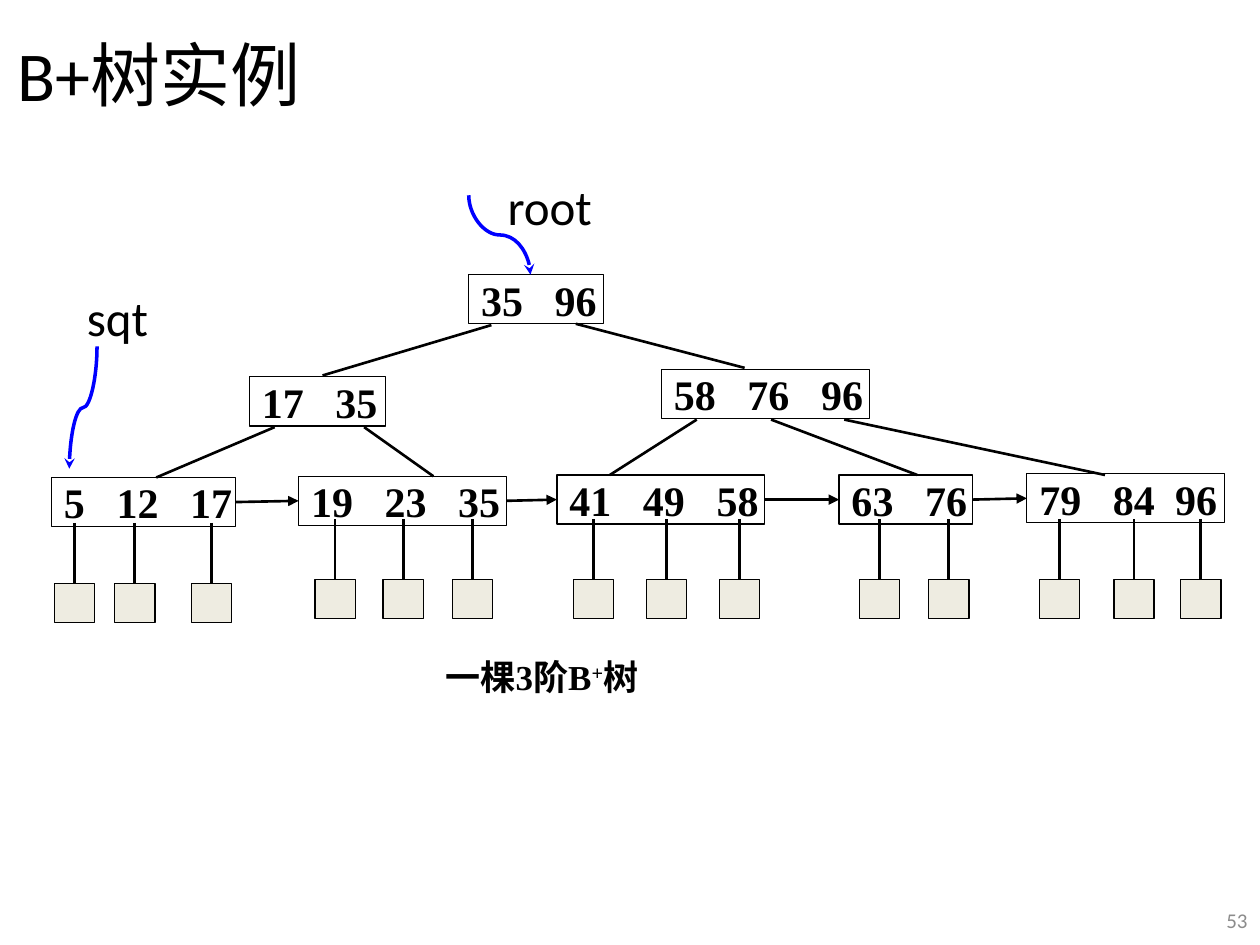
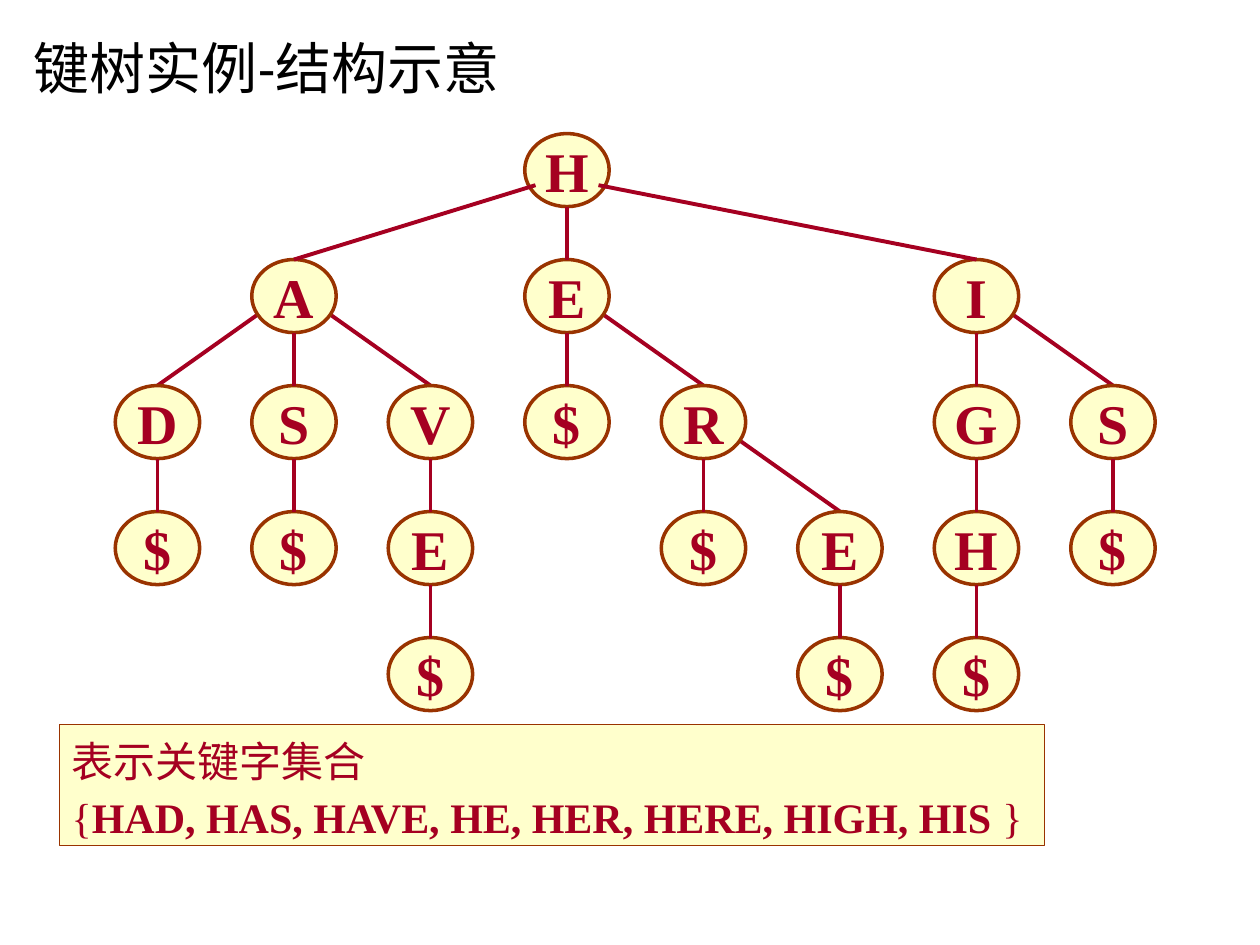
from lxml import etree
from pptx import Presentation
from pptx import util as u
from pptx.dml.color import RGBColor
from pptx.enum import shapes, text
from pptx.oxml.ns import qn

BLACK = RGBColor(0x00, 0x00, 0x00)
GREY = RGBColor(0x8C, 0x8C, 0x8C)
BLUE = RGBColor(0x00, 0x00, 0xFF)
SAND = RGBColor(0xEE, 0xEC, 0xE1)
CREAM = RGBColor(0xFF, 0xFF, 0xCC)
BROWN = RGBColor(0x99, 0x33, 0x00)
CRIMSON = RGBColor(0xA5, 0x00, 0x21)

SANS, SERIF, CHINESE = "Calibri", "Times New Roman", "Noto Sans CJK JP"
COLUMNS, ROWS = 10, 7.5
LEFT, CENTER, RIGHT = text.PP_ALIGN.LEFT, text.PP_ALIGN.CENTER, text.PP_ALIGN.RIGHT
TOP, MIDDLE = text.MSO_ANCHOR.TOP, text.MSO_ANCHOR.MIDDLE


class Deck:
    """Shared style, and the slide being drawn; places are grid columns and rows."""

    def __init__(self):
        self.prs = Presentation()
        self.prs.slide_width = u.Inches(10)
        self.prs.slide_height = u.Inches(7.5)
        self.slide = None

    def x(self, columns):
        return round(self.prs.slide_width * columns / COLUMNS)

    def y(self, rows):
        return round(self.prs.slide_height * rows / ROWS)

    def place(self, left, top, width, height):
        return self.x(left), self.y(top), self.x(width), self.y(height)

    def new_slide(self):
        self.slide = self.prs.slides.add_slide(self.prs.slide_layouts[6])

    def put_text(self, shape, paragraphs, size, color=BLACK, font=SERIF, bold=False,
                 align=LEFT, anchor=MIDDLE, wrap=False, spacing=None):
        """Each paragraph is a string or a list of (text, bold, baseline) pieces."""
        frame = shape.text_frame
        frame.word_wrap = wrap
        frame.vertical_anchor = anchor
        for index, pieces in enumerate(paragraphs):
            if isinstance(pieces, str):
                pieces = [(pieces, bold, 0)]
            paragraph = frame.add_paragraph() if index else frame.paragraphs[0]
            paragraph.text = pieces[0][0]
            for wording, _, _ in pieces[1:]:
                paragraph.add_run().text = wording
            paragraph.alignment = align
            if spacing:
                paragraph.line_spacing = spacing
            for run, (_, heavy, baseline) in zip(paragraph.runs, pieces):
                run.font.size = u.Pt(size)
                run.font.bold = heavy
                run.font.color.rgb = color
                run.font.name = font
                props = run.font._element
                etree.SubElement(props, qn("a:ea")).set("typeface", CHINESE)
                if baseline:
                    props.set("baseline", str(baseline * 1000))

    def label(self, box, wording, size, **style):
        holder = self.slide.shapes.add_textbox(*self.place(*box))
        self.put_text(holder, wording, size, **style)

    def title(self, box, wording, size):
        self.label(box, [wording], size, font=SANS, wrap=True)

    def shape(self, kind, box, line, weight, fill=None):
        item = self.slide.shapes.add_shape(kind, *self.place(*box))
        item.shadow.inherit = False
        if fill is None:
            item.fill.background()
        else:
            item.fill.solid()
            item.fill.fore_color.rgb = fill
        item.line.color.rgb = line
        item.line.width = u.Pt(weight)
        return item

    def rect(self, box, line=BLACK, fill=None):
        return self.shape(shapes.MSO_SHAPE.RECTANGLE, box, line, 0.75, fill)

    def key_node(self, box, keys, gaps):
        node = self.rect(box)
        node.text_frame.margin_right = 0
        self.put_text(node, ["\t".join(keys)], 24, bold=True, wrap=True)
        # One tab stop in front of every key after the first
        tabs = etree.SubElement(node.text_frame.paragraphs[0]._p.get_or_add_pPr(),
                                qn("a:tabLst"))
        stop = 0
        for key, gap in zip(keys, gaps[:len(keys) - 1]):
            stop += len(key) * DIGIT + gap
            etree.SubElement(tabs, qn("a:tab"), pos=str(self.x(stop)), algn="l")
        return node

    def style_line(self, link, color, weight, arrow):
        link.line.color.rgb = color
        link.line.width = u.Pt(weight)
        if arrow:
            ln = link.line._get_or_add_ln()
            etree.SubElement(ln, qn("a:tailEnd"), type=arrow)
        etree.SubElement(link._element.spPr, qn("a:effectLst"))

    def line(self, start, end, color=BLACK, weight=1.5, arrow=None):
        link = self.slide.shapes.add_connector(
            shapes.MSO_CONNECTOR.STRAIGHT, self.x(start[0]), self.y(start[1]),
            self.x(end[0]), self.y(end[1]))
        self.style_line(link, color, weight, arrow)
        return link

    def pointer(self, start, end):
        """S-curve that leaves and arrives vertically: a turned curved connector."""
        (x1, y1), (x2, y2) = start, end
        mid_x, mid_y = (x1 + x2) / 2, (y1 + y2) / 2
        half_w, half_h = (y2 - y1) / 2, abs(x2 - x1) / 2
        link = self.slide.shapes.add_connector(
            shapes.MSO_CONNECTOR.CURVE, self.x(mid_x - half_w), self.y(mid_y - half_h),
            self.x(mid_x + half_w), self.y(mid_y + half_h))
        frame = link._element.spPr.xfrm
        rightward = x2 > x1
        frame.set("rot", str((270 if rightward else 90) * 60000))
        if rightward:
            frame.set("flipH", "1")
        self.style_line(link, BLUE, 2, "stealth")


# B+ tree
DIGIT, GAP, NARROW_GAP = 0.167, 0.25, 0.16
NODE_HEIGHT = 0.39
RECORD_WIDTH, RECORD_HEIGHT = 0.32, 0.31
DROP_LENGTH = 0.48

# left, top, width, keys
INDEX_NODES = [
    (3.72, 2.18, 1.07, "35 96"),
    (1.98, 2.99, 1.08, "17 35"),
    (5.25, 2.93, 1.65, "58 76 96"),
]
# left, top, width, keys, gap before the last key, drop start, drop columns
LEAVES = [
    (0.41, 3.79, 1.46, "5 12 17", GAP, 4.15, (0.59, 1.07, 1.68)),
    (2.37, 3.78, 1.65, "19 23 35", GAP, 4.12, (2.66, 3.2, 3.75)),
    (4.42, 3.77, 1.65, "41 49 58", GAP, 4.12, (4.71, 5.29, 5.87)),
    (6.66, 3.77, 1.06, "63 76", GAP, 4.12, (6.98, 7.53)),
    (8.15, 3.76, 1.57, "79 84 96", NARROW_GAP, 4.12, (8.41, 9, 9.53)),
]
BRANCHES = [
    ((3.9, 2.58), (2.56, 2.98)), ((4.57, 2.57), (5.91, 2.92)),
    ((2.18, 3.39), (1.24, 3.79)), ((2.89, 3.39), (3.44, 3.78)),
    ((5.53, 3.33), (4.84, 3.77)), ((6.12, 3.33), (7.28, 3.77)),
    ((6.7, 3.33), (8.77, 3.77)),
]


def b_plus_tree(deck):
    deck.new_slide()
    deck.label((2.81, 5.17, 2.98, 0.39),
               [[("一棵3阶B", True, 0), ("+", True, 26), ("树", True, 0)]],
               20, align=CENTER)

    # Index levels and their branches
    for left, top, width, keys in INDEX_NODES:
        deck.key_node((left, top, width, NODE_HEIGHT), keys.split(), (GAP, GAP))
    for start, end in BRANCHES:
        deck.line(start, end)

    # Leaf level, with one record under every key
    leaf_nodes = []
    for left, top, width, keys, last_gap, drop_top, drops in LEAVES:
        leaf_nodes.append(deck.key_node((left, top, width, NODE_HEIGHT),
                                        keys.split(), (GAP, last_gap)))
        record_top = drop_top + DROP_LENGTH
        for column in drops:
            record = deck.rect((column - RECORD_WIDTH / 2, record_top,
                                RECORD_WIDTH, RECORD_HEIGHT), fill=SAND)
            drop = deck.line((column, drop_top), (column, record_top))
            drop.end_connect(record, 0)

    # Chain of leaves
    for leaf, next_leaf in zip(leaf_nodes, leaf_nodes[1:]):
        chain = deck.line((0, 0), (1, 1), arrow="triangle")
        chain.begin_connect(leaf, 3)
        chain.end_connect(next_leaf, 1)

    # Title, page number and entry pointers
    deck.title((0.04, 0.07, 9, 1.02), "B+树实例", 40)
    deck.label((9.57, 7.1, 0.43, 0.4), ["53"], 12, color=GREY, font=SANS,
               align=RIGHT, wrap=True)
    deck.pointer((3.72, 1.55), (4.21, 2.18))
    deck.pointer((0.77, 2.75), (0.55, 3.72))
    for box, name in [((3.93, 1.35, 0.88, 0.57), "root"),
                      ((0.59, 2.23, 0.69, 0.57), "sqt")]:
        deck.label(box, [name], 28, font=SANS, anchor=TOP)


# Key tree: letter, column, children
END = "$"
KEY_TREE = ("H", 3, [
    ("A", 1, [
        ("D", 0, [(END, 0, [])]),
        ("S", 1, [(END, 1, [])]),
        ("V", 2, [("E", 2, [(END, 2, [])])])]),
    ("E", 3, [
        (END, 3, []),
        ("R", 4, [(END, 4, []), ("E", 5, [(END, 5, [])])])]),
    ("I", 6, [
        ("G", 6, [("H", 6, [(END, 6, [])])]),
        ("S", 7, [(END, 7, [])])]),
])
FIRST_CENTER, COLUMN_STEP, FIRST_TOP = 1.25, 13 / 12, 1.06
LETTER_WIDTH, LETTER_HEIGHT = 0.67, 0.58
SHOULDER_X, SHOULDER_Y = 0.25, 0.41


def letter_center(column):
    return FIRST_CENTER + COLUMN_STEP * column


def walk(node, level=0):
    """Yield every node with its level, parents first."""
    yield node, level
    for child in node[2]:
        yield from walk(child, level + 1)


def key_tree(deck):
    deck.new_slide()
    nodes = list(walk(KEY_TREE))

    # Edges: slanted ones below the root lie behind the letters
    behind, in_front = [], []
    for (_, column, children), level in nodes:
        top, center = FIRST_TOP + level, letter_center(column)
        for _, child_column, _ in children:
            end = (letter_center(child_column), top + 1)
            if child_column == column:
                in_front.append(((center, top + LETTER_HEIGHT), end))
            else:
                side = SHOULDER_X if child_column > column else -SHOULDER_X
                layer = behind if level else in_front
                layer.append(((center + side, top + SHOULDER_Y), end))

    for start, end in behind:
        deck.line(start, end, CRIMSON, 2.25)
    for (letter, column, _), level in nodes:
        circle = deck.shape(
            shapes.MSO_SHAPE.OVAL,
            (letter_center(column) - LETTER_WIDTH / 2, FIRST_TOP + level,
             LETTER_WIDTH, LETTER_HEIGHT), BROWN, 2, CREAM)
        deck.put_text(circle, [letter], 32, CRIMSON, bold=True, align=CENTER)
    for start, end in in_front:
        deck.line(start, end, CRIMSON, 2.25)

    # Keyword set and title
    keywords = deck.rect((0.47, 5.75, 7.82, 0.96), BROWN, CREAM)
    deck.put_text(keywords, [
        "表示关键字集合",
        [("{", False, 0), ("HAD, HAS, HAVE, HE, HER, HERE, HIGH, HIS", True, 0),
         (" }", False, 0)],
    ], 24, CRIMSON, anchor=TOP, spacing=1.1)
    deck.title((0.17, 0.02, 9, 1.02), "键树实例-结构示意", 32)


def main():
    deck = Deck()
    b_plus_tree(deck)
    key_tree(deck)
    deck.prs.save("out.pptx")


if __name__ == "__main__":
    main()
